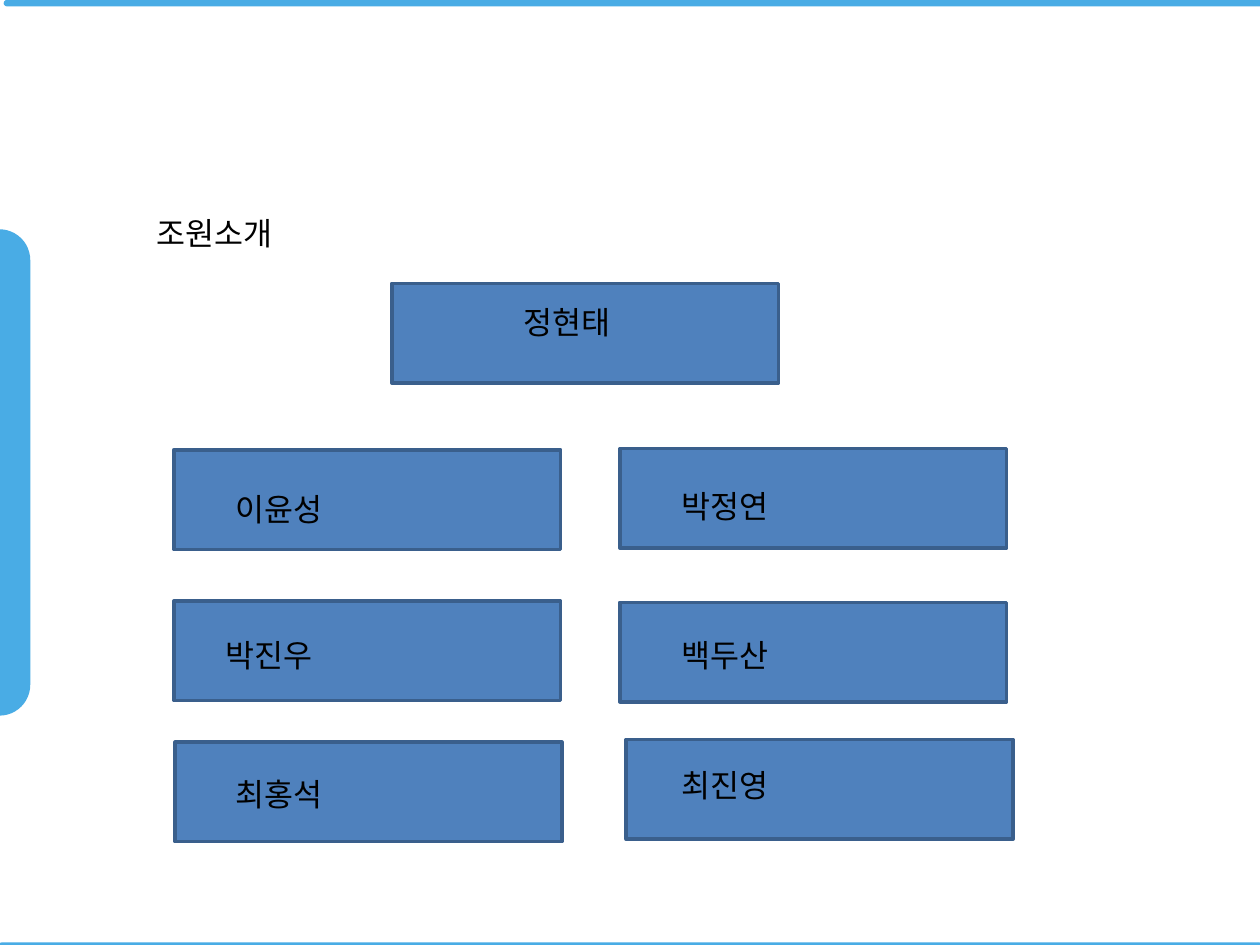
from lxml.etree import SubElement
from pptx import Presentation
from pptx.dml.color import RGBColor
from pptx.enum.shapes import MSO_SHAPE as Shape
from pptx.enum.text import MSO_ANCHOR as Anchor, MSO_AUTO_SIZE as AutoSize, PP_ALIGN as Align
from pptx.oxml.ns import qn
from pptx.util import Inches, Pt


def paint(color, hex_code):
    """Set a fill, line or font colour from a hex string."""
    color.rgb = RGBColor.from_string(hex_code)


def write(tf, text, size=18, font="Noto Sans CJK KR", color="000000", align=Align.LEFT):
    """Write one formatted line at the top of a text frame."""
    tf.word_wrap = True
    tf.auto_size = AutoSize.NONE
    tf.vertical_anchor = Anchor.TOP
    p = tf.paragraphs[0]
    p.alignment = align
    r = p.add_run()
    r.text = text
    r.font.size = Pt(size)
    r.font.name = font
    paint(r.font.color, color)
    SubElement(r.font._element, qn("a:ea"), typeface=font)


class Deck:
    """Style and current slide, on a grid of 100 columns by 75 rows."""

    accent, box_fill, box_line = "49ACE5", "4F81BD", "3A5F8C"
    box_size, text_height = (30.7, 7.9), 4

    def __init__(self, prs):
        """Size the slide and add one with a title."""
        self.unit = Inches(0.1)
        prs.slide_width, prs.slide_height = 100 * self.unit, 75 * self.unit
        self.s = prs.slides.add_slide(prs.slide_layouts[5])

    def at(self, *cells):
        """Turn grid cells into lengths."""
        return [round(cell * self.unit) for cell in cells]

    def shape(self, kind, cells, fill):
        """Add a flat filled shape without an outline."""
        sp = self.s.shapes.add_shape(kind, *self.at(*cells))
        sp.shadow.inherit = False
        sp.fill.solid()
        paint(sp.fill.fore_color, fill)
        sp.line.fill.background()
        return sp

    def bar(self, *cells):
        """Add a rounded accent bar."""
        self.shape(Shape.ROUNDED_RECTANGLE, cells, self.accent).adjustments[0] = 0.47

    def title(self, text, *cells):
        """Place and fill the title placeholder."""
        sp = self.s.shapes.title
        sp.left, sp.top, sp.width, sp.height = self.at(*cells)
        write(sp.text_frame, text)

    def box(self, col, row):
        """Add an outlined member box."""
        sp = self.shape(Shape.RECTANGLE, (col, row, *self.box_size), self.box_fill)
        sp.line.width = Pt(2)
        paint(sp.line.color, self.box_line)

    def label(self, text, col, row, width=22.8):
        """Add a member name."""
        sp = self.s.shapes.add_textbox(*self.at(col, row, width, self.text_height))
        write(sp.text_frame, text)


def main():
    """Build the team introduction slide."""
    prs = Presentation()
    deck = Deck(prs)
    deck.bar(-2.8, 18.2, 5.2, 38.6)
    for col, row in ((-0.1, 74.8), (0.3, 0)):
        deck.bar(col, row, 100.3, 0.5)
    deck.title("조원소개", 11.4, 16.5, 52.8, 4)
    members = (
        ("정현태", (31.1, 22.5), (40.6, 23.6)),
        ("이윤성", (13.8, 35.7), (17.7, 38.4)),
        ("박정연", (49.2, 35.6), (53.1, 38.2)),
        ("박진우", (13.8, 47.7), (16.9, 50)),
        ("백두산", (49.2, 47.8), (53.1, 50)),
        ("최홍석", (13.9, 58.9), (17.7, 61)),
        ("최진영", (49.7, 58.7), (53.1, 60.3)),
    )
    for name, box, label in members:
        deck.box(*box)
        deck.label(name, *label)
    prs.save("out.pptx")


if __name__ == "__main__":
    main()
